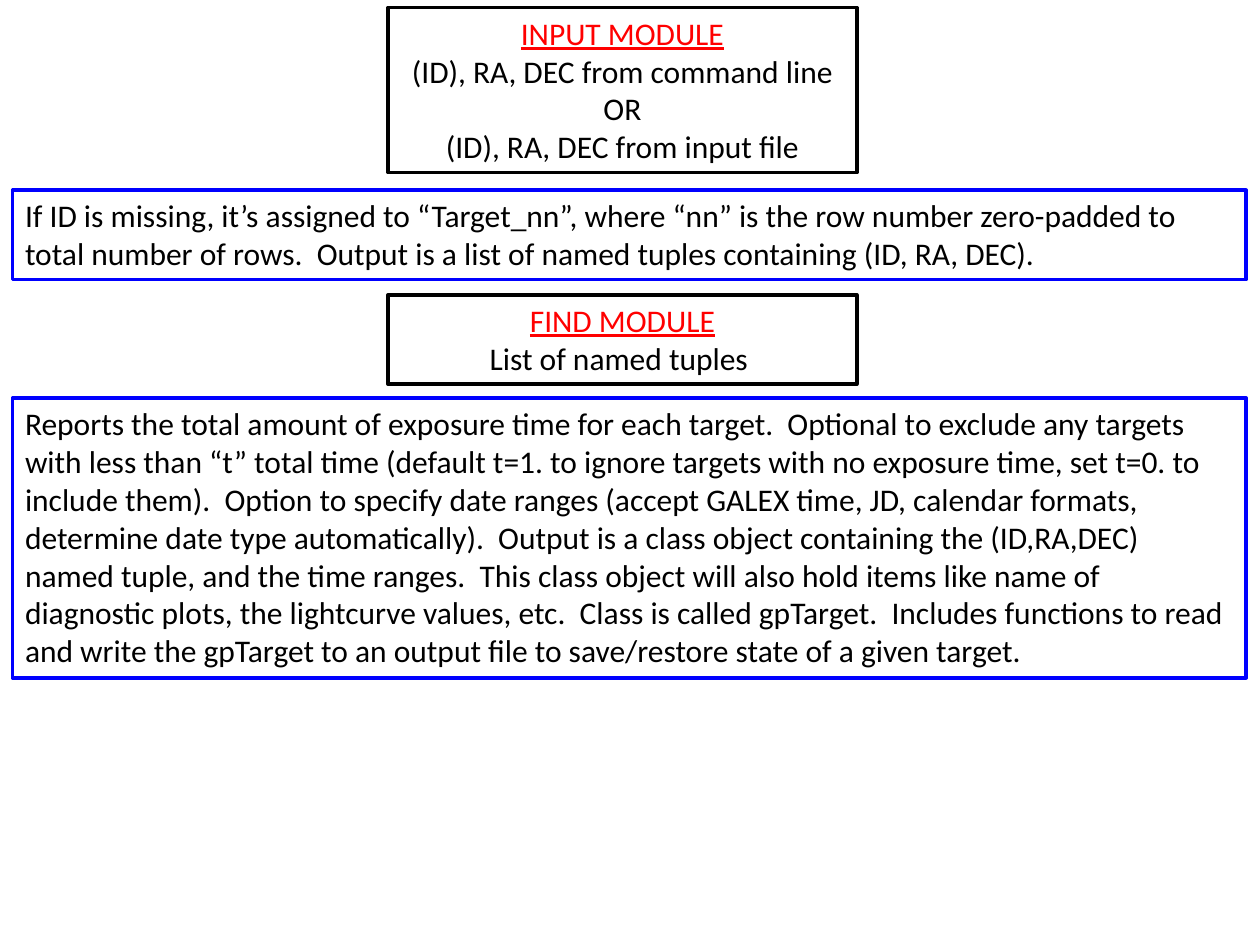
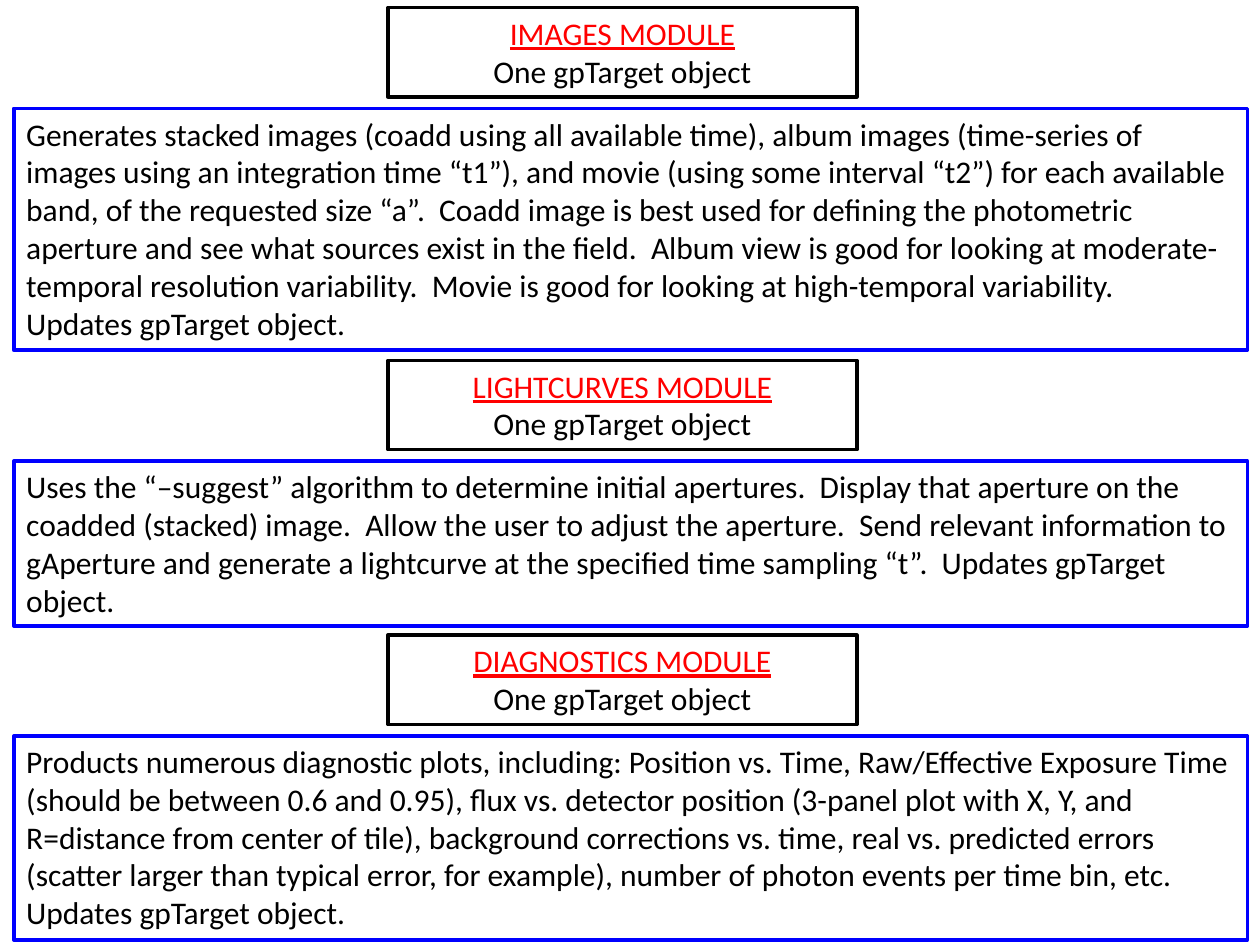
"""Build two slides describing the modules of a target-analysis pipeline."""
from pptx import Presentation
from pptx import util as u
from pptx.dml.color import RGBColor
from pptx.enum import text

PX = 9144
BLACK = RGBColor(0x00, 0x00, 0x00)
RED = RGBColor(0xFF, 0x00, 0x00)
BLUE = RGBColor(0x00, 0x00, 0xFF)
FONT = "Calibri"
MODULE_LEFT, MODULE_WIDTH = 308, 372
DETAIL_WIDTH = 979
LINE_HEIGHT, PADDING = 30.3, 10.1

SLIDES = [
    {
        "detail_left": 10,
        "modules": [
            {
                "top": 6,
                "heading": "INPUT MODULE",
                "inputs": ["(ID), RA, DEC from command line", "OR", "(ID), RA, DEC from input file"],
                "detail_top": 151,
                "detail_lines": 2,
                "detail": "If ID is missing, it’s assigned to “Target_nn”, where “nn” is the row number "
                          "zero-padded to total number of rows.  Output is a list of named tuples "
                          "containing (ID, RA, DEC).",
            },
            {
                "top": 234,
                "heading": "FIND MODULE",
                "inputs": ["List of named tuples "],
                "detail_top": 316,
                "detail_lines": 7,
                "detail": "Reports the total amount of exposure time for each target.  Optional to exclude "
                          "any targets with less than “t” total time (default t=1. to ignore targets with "
                          "no exposure time, set t=0. to include them).  Option to specify date ranges "
                          "(accept GALEX time, JD, calendar formats, determine date type automatically).  "
                          "Output is a class object containing the (ID,RA,DEC) named tuple, and the time "
                          "ranges.  This class object will also hold items like name of diagnostic plots, "
                          "the lightcurve values, etc.  Class is called gpTarget.  Includes functions to "
                          "read and write the gpTarget to an output file to save/restore state of a given "
                          "target.",
            },
        ],
    },
    {
        "detail_left": 11,
        "modules": [
            {
                "top": 6,
                "heading": "IMAGES MODULE",
                "inputs": ["One gpTarget object"],
                "detail_top": 86,
                "detail_lines": 6,
                "detail": "Generates stacked images (coadd using all available time), album images "
                          "(time-series of images using an integration time “t1”), and movie (using some "
                          "interval “t2”) for each available band, of the requested size “a”.  Coadd image "
                          "is best used for defining the photometric aperture and see what sources exist "
                          "in the field.  Album view is good for looking at moderate-temporal resolution "
                          "variability.  Movie is good for looking at high-temporal variability.  Updates "
                          "gpTarget object.",
            },
            {
                "top": 286,
                "heading": "LIGHTCURVES MODULE",
                "inputs": ["One gpTarget object"],
                "detail_top": 366,
                "detail_lines": 4,
                "detail": "Uses the “–suggest” algorithm to determine initial apertures.  Display that "
                          "aperture on the coadded (stacked) image.  Allow the user to adjust the "
                          "aperture.  Send relevant information to gAperture and generate a lightcurve at "
                          "the specified time sampling “t”.  Updates gpTarget object.",
            },
            {
                "top": 504,
                "heading": "DIAGNOSTICS MODULE",
                "inputs": ["One gpTarget object"],
                "detail_top": 584,
                "detail_lines": 5,
                "detail": "Products numerous diagnostic plots, including: Position vs. Time, "
                          "Raw/Effective Exposure Time (should be between 0.6 and 0.95), flux vs. detector "
                          "position (3-panel plot with X, Y, and R=distance from center of tile), "
                          "background corrections vs. time, real vs. predicted errors (scatter larger than "
                          "typical error, for example), number of photon events per time bin, etc.  "
                          "Updates gpTarget object.",
            },
        ],
    },
]


def add_box(slide, left, top, width, lines, border):
    height = round(lines * LINE_HEIGHT + PADDING)
    shape = slide.shapes.add_textbox(left * PX, top * PX, width * PX, height * PX)
    shape.line.color.rgb = border
    shape.line.width = u.Pt(2)
    shape.text_frame.word_wrap = True
    shape.text_frame.auto_size = text.MSO_AUTO_SIZE.SHAPE_TO_FIT_TEXT
    return shape.text_frame


def write(paragraph, words, color=BLACK, underline=False, align=text.PP_ALIGN.LEFT):
    paragraph.alignment = align
    run = paragraph.add_run()
    run.text = words
    run.font.name = FONT
    run.font.size = u.Pt(18)
    run.font.color.rgb = color
    run.font.underline = underline


presentation = Presentation()
presentation.slide_width = 1000 * PX
presentation.slide_height = 750 * PX
blank_layout = presentation.slide_layouts.get_by_name("Blank")

for content in SLIDES:
    slide = presentation.slides.add_slide(blank_layout)
    for module in content["modules"]:
        frame = add_box(slide, MODULE_LEFT, module["top"], MODULE_WIDTH, 1 + len(module["inputs"]), BLACK)
        write(frame.paragraphs[0], module["heading"], color=RED, underline=True, align=text.PP_ALIGN.CENTER)
        for line in module["inputs"]:
            write(frame.add_paragraph(), line, align=text.PP_ALIGN.CENTER)

        frame = add_box(slide, content["detail_left"], module["detail_top"], DETAIL_WIDTH,
                        module["detail_lines"], BLUE)
        write(frame.paragraphs[0], module["detail"])

presentation.save("out.pptx")
